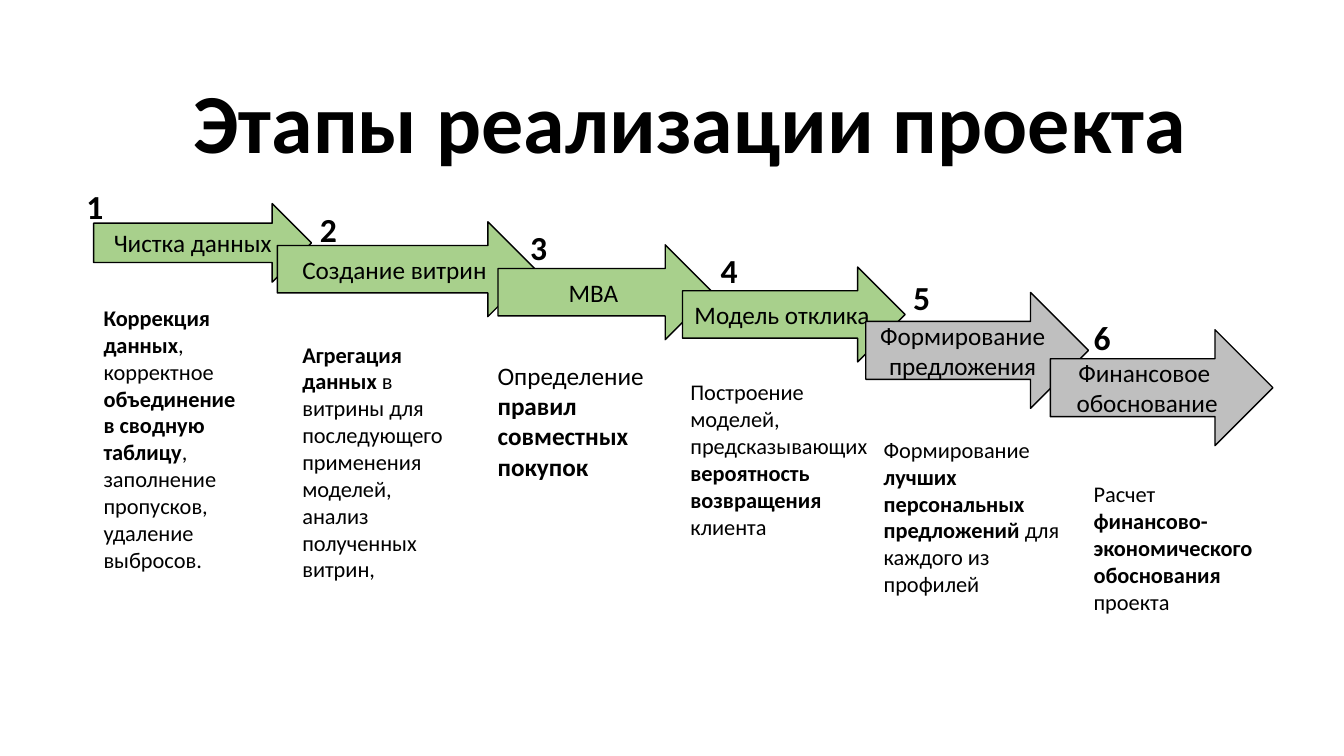
from pptx import Presentation
from pptx.dml.color import RGBColor
from pptx.enum.shapes import MSO_SHAPE as Preset
from pptx.enum.text import MSO_ANCHOR as Anchor, PP_ALIGN as Align
from pptx.util import Cm, Pt

BLACK = RGBColor(0x00, 0x00, 0x00)
GREEN = RGBColor(0xA8, 0xD0, 0x8C)  # finished stage
GREY = RGBColor(0xBF, 0xBF, 0xBF)  # upcoming stage


class StageSlide:
    """Holds the style and the current slide."""

    font_name = "Calibri"

    def __init__(self, slide):
        self.shapes = slide.shapes

    def style(self, para, size, bold=False):
        for span in para.runs:
            span.font.name = self.font_name
            span.font.size = Pt(size)
            span.font.bold = bold
            span.font.color.rgb = BLACK

    def text_box(self, left, top, width, height):
        box = self.shapes.add_textbox(Cm(left), Cm(top), Cm(width), Cm(height))
        box.text_frame.word_wrap = True
        return box.text_frame

    def title(self, text, left, top, width, height):
        frame = self.text_box(left, top, width, height)
        frame.vertical_anchor = Anchor.BOTTOM
        frame.text = text
        para = frame.paragraphs[0]
        para.alignment = Align.CENTER
        para.line_spacing = 0.9
        self.style(para, 60, bold=True)

    def arrow(self, text, fill, left, top, width, height):
        arrow = self.shapes.add_shape(
            Preset.RIGHT_ARROW, Cm(left), Cm(top), Cm(width), Cm(height))
        arrow.shadow.inherit = False
        arrow.fill.solid()
        arrow.fill.fore_color.rgb = fill
        arrow.line.color.rgb = BLACK
        arrow.line.width = Pt(1)
        frame = arrow.text_frame
        frame.text = text
        frame.vertical_anchor = Anchor.MIDDLE
        for para in frame.paragraphs:
            para.alignment = Align.CENTER
            self.style(para, 18)

    def number(self, value, left, top):
        frame = self.text_box(left, top, 1.07, 1.27)
        frame.text = str(value)
        self.style(frame.paragraphs[0], 24, bold=True)

    def description(self, text, size, left, top, width, height):
        """Words between asterisks are bold."""
        para = self.text_box(left, top, width, height).paragraphs[0]
        pieces = text.split("*")
        for piece in pieces:
            para.add_run().text = piece
        self.style(para, size)
        for span in para.runs[1::2]:
            span.font.bold = True


# Each stage: arrow label, fill and frame; number position;
# description, text size and frame
STAGES = [
    ("Чистка данных", GREEN, (2.36, 5.13, 5.49, 1.98), (1.93, 4.55),
     "*Коррекция данных*, корректное *объединение в сводную таблицу*, "
     "заполнение пропусков, удаление выбросов.",
     16, (2.36, 7.54, 4.14, 7.09)),
    ("Создание витрин", GREEN, (6.99, 5.59, 6.5, 2.39), (7.81, 5.13),
     "*Агрегация данных *в витрины для последующего применения моделей, "
     "анализ полученных витрин,",
     16, (7.37, 8.46, 4.14, 6.4)),
    ("MBA", GREEN, (12.55, 6.17, 5.41, 2.39), (13.11, 5.59),
     "Определение *правил совместных покупок*",
     18, (12.29, 8.95, 4.39, 3.42)),
    ("Модель отклика", GREEN, (17.2, 6.73, 5.61, 2.39), (17.91, 6.17),
     "Построение моделей, предсказывающих *вероятность возвращения *клиента",
     16, (17.15, 9.41, 5.61, 4.34)),
    ("Формирование предложения", GREY, (21.82, 7.37, 5.61, 2.92), (22.76, 6.86),
     "Формирование *лучших персональных предложений *для каждого из профилей",
     16, (22.02, 10.86, 5.18, 4.34)),
    ("Финансовое \nобоснование", GREY, (26.47, 8.31, 5.61, 2.92), (27.31, 7.87),
     "Расчет *финансово-экономического обоснования *проекта",
     16, (27.31, 11.98, 4.83, 3.67)),
]

deck = Presentation()
deck.slide_width, deck.slide_height = Cm(33.87), Cm(19.05)
page = StageSlide(deck.slides.add_slide(deck.slide_layouts[6]))

# Heading
page.title("Этапы реализации проекта", 4.24, 0.89, 26.31, 3.56)

# Overlapping arrows, each in front of the one before
for label, fill, arrow_frame, *_ in STAGES:
    page.arrow(label, fill, *arrow_frame)

# Numbers and descriptions
for value, stage in enumerate(STAGES, start=1):
    _, _, _, number_place, text, size, text_frame = stage
    page.number(value, *number_place)
    page.description(text, size, *text_frame)

deck.save("out.pptx")
